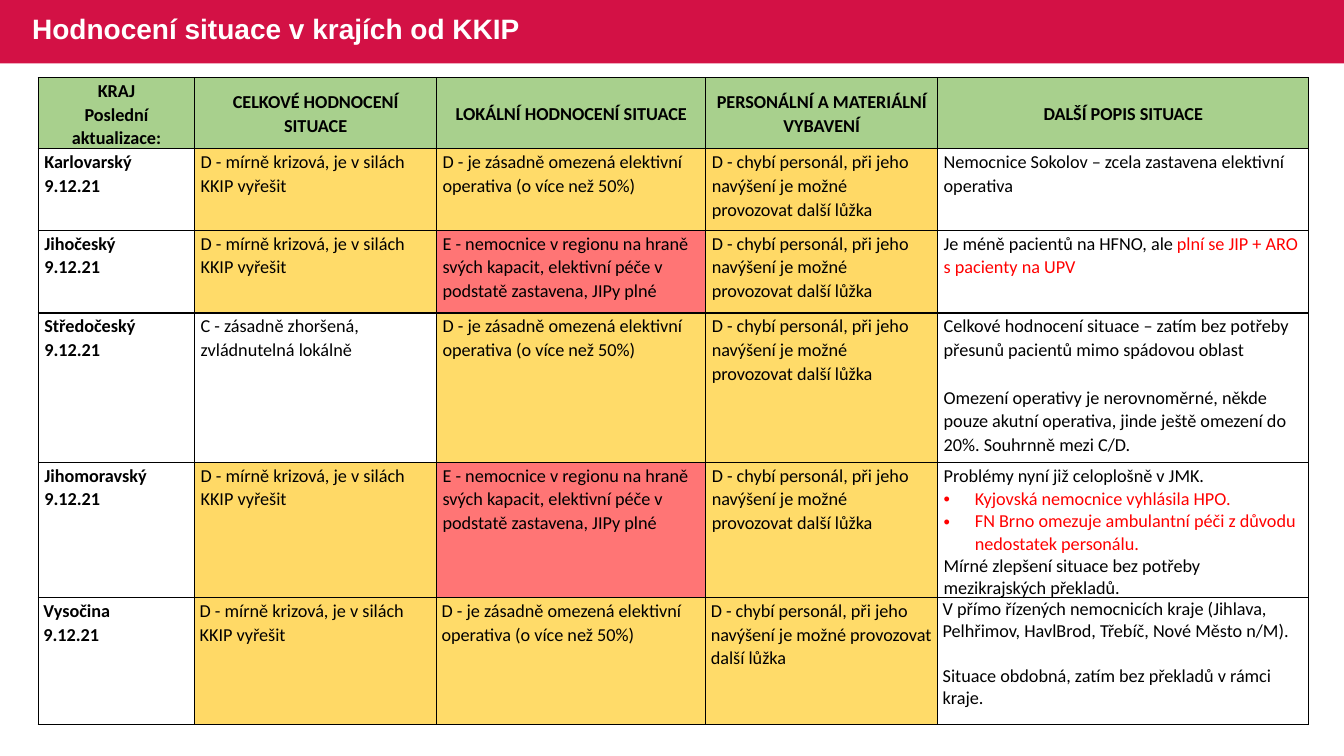
from dataclasses import dataclass

from lxml import etree
from pptx import Presentation
from pptx import util as u
from pptx.dml.color import RGBColor
from pptx.enum import shapes, text
from pptx.oxml import ns

PX = 9144  # 100 px to the inch
BLACK, WHITE, RED = "000000", "FFFFFF", "FF0000"
CRIMSON, GREEN, AMBER, GOLD, CORAL = "D31145", "A8D08D", "FFDB69", "FFD966", "FF7575"
COLUMNS = [155, 240, 267, 230, 368]
ROWS = [66, 81, 82, 148, 124, 126]


@dataclass
class Line:
    words: str
    red_words: str = ""
    bold: bool = False
    bullet: bool = False
    centred: bool = False
    spacing: float = 1.07
    before: int = 0


@dataclass
class Cell:
    lines: list[Line]
    fill: str = ""
    middle: bool = False


@dataclass
class Region:
    name: str
    overall: Cell
    local: Cell
    staff: Cell
    details: list[Line]

    def cells(self) -> list[Cell]:
        title = [Line(self.name, bold=True), Line("9.12.21", bold=True)]
        return [Cell(title), self.overall, self.local, self.staff, Cell(self.details)]


def rating(words: str, fill: str = "") -> Cell:
    return Cell([Line(words)], fill)


def heading(*words: str) -> Cell:
    return Cell([Line(part, bold=True, centred=True) for part in words], GREEN, True)


OVERALL_D = "D - mírně krizová, je v silách KKIP vyřešit"
LOCAL_D = rating("D - je zásadně omezená elektivní operativa (o více než 50%)", AMBER)
LOCAL_E = rating("E - nemocnice v regionu na hraně svých kapacit, elektivní péče "
                 "v podstatě zastavena, JIPy plné", CORAL)
STAFF_D = "D - chybí personál, při jeho navýšení je možné provozovat další lůžka"

HEADINGS = [
    heading("KRAJ", "Poslední aktualizace:"),
    heading("CELKOVÉ HODNOCENÍ SITUACE"),
    heading("LOKÁLNÍ HODNOCENÍ SITUACE"),
    heading("PERSONÁLNÍ A MATERIÁLNÍ VYBAVENÍ"),
    heading("DALŠÍ POPIS SITUACE"),
]
REGIONS = [
    Region("Karlovarský", rating(OVERALL_D, AMBER), LOCAL_D, rating(STAFF_D, GOLD),
           [Line("Nemocnice Sokolov – zcela zastavena elektivní operativa")]),
    Region("Jihočeský", rating(OVERALL_D, AMBER), LOCAL_E, rating(STAFF_D, GOLD),
           [Line("Je méně pacientů na HFNO, ale ", "plní se JIP + ARO s pacienty na UPV")]),
    Region("Středočeský", rating("C - zásadně zhoršená, zvládnutelná lokálně"),
           LOCAL_D, rating(STAFF_D, AMBER),
           [Line("Celkové hodnocení situace – zatím bez potřeby přesunů pacientů "
                 "mimo spádovou oblast"),
            Line("Omezení operativy je nerovnoměrné, někde pouze akutní operativa, "
                 "jinde ještě omezení do 20%. Souhrnně mezi C/D.", before=17)]),
    Region("Jihomoravský", rating(OVERALL_D, GOLD), LOCAL_E, rating(STAFF_D, AMBER),
           [Line("Problémy nyní již celoplošně v JMK."),
            Line("", "Kyjovská nemocnice vyhlásila HPO.", bullet=True),
            Line("", "FN Brno omezuje ambulantní péči z důvodu nedostatek personálu.",
                 bullet=True, spacing=1),
            Line("Mírné zlepšení situace bez potřeby mezikrajských překladů.", spacing=1)]),
    Region("Vysočina", rating(OVERALL_D, GOLD), LOCAL_D, rating(STAFF_D, AMBER),
           [Line("V přímo řízených nemocnicích kraje (Jihlava, Pelhřimov, HavlBrod, "
                 "Třebíč, Nové Město n/M).", spacing=1),
            Line("Situace obdobná, zatím bez překladů v rámci kraje.",
                 spacing=1, before=16)]),
]


def px(length: int) -> u.Emu:
    return u.Emu(length * PX)


def rgb(colour: str) -> RGBColor:
    return RGBColor.from_string(colour)


def add_element(parent, tag: str, **attributes: str):
    return etree.SubElement(parent, ns.qn(tag), attributes)


def set_font(font, name: str, size: int, colour: str, bold: bool) -> None:
    font.name, font.size, font.bold = name, u.Pt(size), bold
    font.color.rgb = rgb(colour)


def add_bullet(para) -> None:
    properties = para._p.get_or_add_pPr()
    properties.set("marL", str(px(31)))
    properties.set("indent", str(-px(31)))
    add_element(add_element(properties, "a:buClr"), "a:srgbClr", val=RED)
    add_element(properties, "a:buFont", typeface="Arial")
    add_element(properties, "a:buChar", char="•")


def write_line(para, line: Line) -> None:
    para.line_spacing = line.spacing
    if line.before:
        para.space_before = u.Pt(line.before)
    if line.centred:
        para.alignment = text.PP_ALIGN.CENTER
    if line.bullet:
        add_bullet(para)
    set_font(para.font, "Calibri", 13, BLACK if line.words else RED, line.bold)
    if line.words:
        para.add_run().text = line.words
    if line.red_words:
        span = para.add_run()
        span.text = line.red_words
        if line.words:
            span.font.color.rgb = rgb(RED)


def add_borders(cell) -> None:
    properties = cell._tc.get_or_add_tcPr()
    for side in "LRTB":
        border = add_element(properties, f"a:ln{side}", w=str(u.Pt(1)))
        add_element(add_element(border, "a:solidFill"), "a:srgbClr", val=BLACK)


def fill_cell(cell, content: Cell, side_margin: int) -> None:
    cell.margin_left = cell.margin_right = px(side_margin)
    cell.margin_top, cell.margin_bottom = px(1), px(0)
    cell.vertical_anchor = text.MSO_ANCHOR.MIDDLE if content.middle else text.MSO_ANCHOR.TOP
    add_borders(cell)
    if content.fill:
        cell.fill.solid()
        cell.fill.fore_color.rgb = rgb(content.fill)
    else:
        cell.fill.background()
    frame = cell.text_frame
    for index, line in enumerate(content.lines):
        write_line(frame.add_paragraph() if index else frame.paragraphs[0], line)


def add_title(page) -> None:
    band = page.shapes.add_shape(shapes.MSO_SHAPE.RECTANGLE, 0, 0, px(1333), px(63))
    band.shadow.inherit = False
    band.fill.solid()
    band.fill.fore_color.rgb = rgb(CRIMSON)
    band.line.fill.background()
    box = page.shapes.add_textbox(px(22), px(-1), px(814), px(63))
    frame = box.text_frame
    frame.word_wrap = True
    frame.vertical_anchor = text.MSO_ANCHOR.MIDDLE
    para = frame.paragraphs[0]
    para.line_spacing = 0.9
    set_font(para.font, "Arial", 20, WHITE, True)
    para.add_run().text = "Hodnocení situace v krajích od KKIP"


def add_regions_table(page) -> None:
    contents = [HEADINGS, *(region.cells() for region in REGIONS)]
    table = page.shapes.add_table(len(ROWS), len(COLUMNS), px(38), px(77),
                                  px(sum(COLUMNS)), px(sum(ROWS))).table
    table.first_row = table.horz_banding = False
    for column, width in zip(table.columns, COLUMNS):
        column.width = px(width)
    for row, height, cells in zip(table.rows, ROWS, contents):
        row.height = px(height)
        for cell, content in zip(row.cells, cells):
            fill_cell(cell, content, 5 if cells is contents[-1] else 6)


def main() -> None:
    deck = Presentation()
    deck.slide_width, deck.slide_height = px(1333), px(750)
    page = deck.slides.add_slide(deck.slide_layouts[6])
    add_title(page)
    add_regions_table(page)
    deck.save("out.pptx")


if __name__ == "__main__":
    main()
